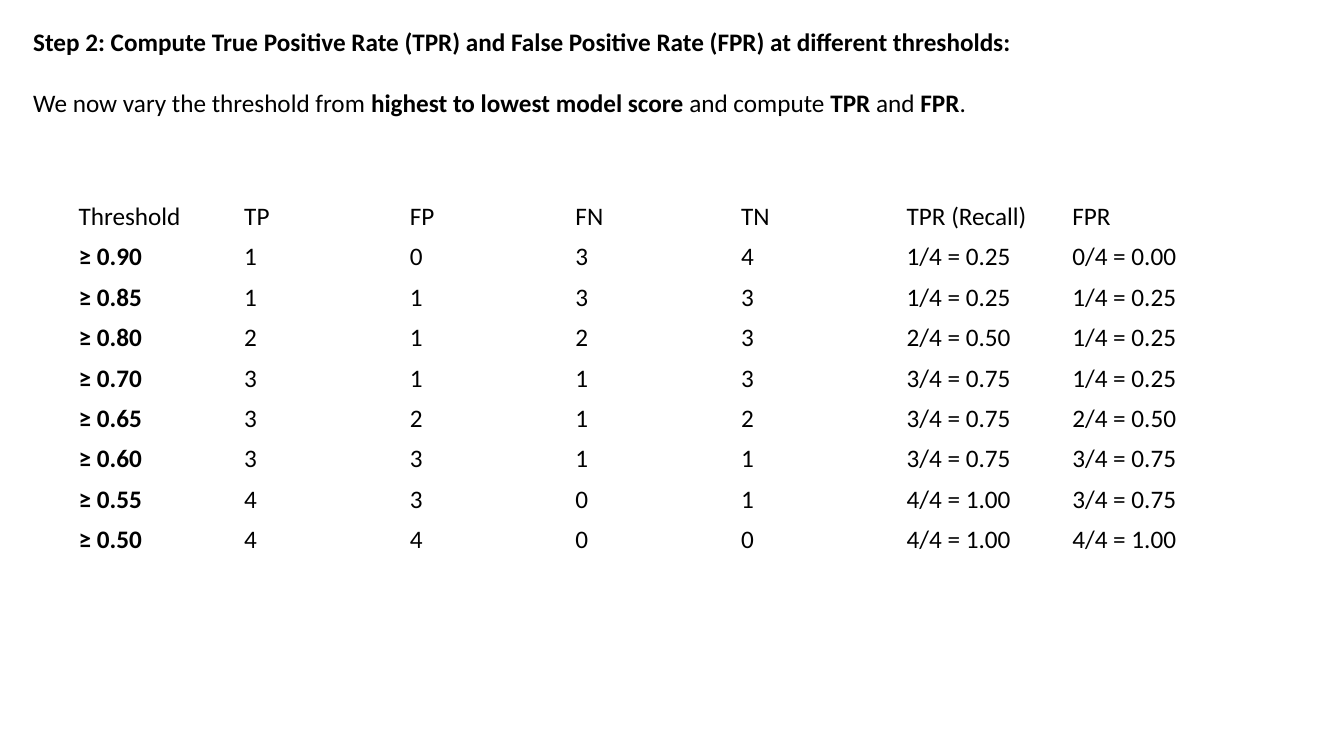
"""Build the slide that tabulates TPR and FPR at each score threshold."""
from pptx import Presentation
from pptx.dml.color import RGBColor
from pptx.enum.text import MSO_ANCHOR, MSO_AUTO_SIZE
from pptx.util import Pt

EMU_PER_PX = 9144
SLIDE_SIZE = (1333, 750)
INTRO_BOX = (23, 21, 1241, 101)
TABLE_BOX = (68, 195, 1150, 360)
FONT = "Calibri"
FONT_SIZE = 18
PARAGRAPH_GAP = 22
COLORS = {"text": "000000"}

INTRO = [
    [("Step 2: Compute True Positive Rate (TPR) and False Positive Rate (FPR) at different thresholds:", True)],
    [
        ("We now vary the threshold from ", False),
        ("highest to lowest model score", True),
        (" and compute ", False),
        ("TPR", True),
        (" and ", False),
        ("FPR", True),
        (".", False),
    ],
]
HEADER = ("Threshold", "TP", "FP", "FN", "TN", "TPR (Recall)", "FPR")
ROWS = [
    ("≥ 0.90", "1", "0", "3", "4", "1/4 = 0.25", "0/4 = 0.00"),
    ("≥ 0.85", "1", "1", "3", "3", "1/4 = 0.25", "1/4 = 0.25"),
    ("≥ 0.80", "2", "1", "2", "3", "2/4 = 0.50", "1/4 = 0.25"),
    ("≥ 0.70", "3", "1", "1", "3", "3/4 = 0.75", "1/4 = 0.25"),
    ("≥ 0.65", "3", "2", "1", "2", "3/4 = 0.75", "2/4 = 0.50"),
    ("≥ 0.60", "3", "3", "1", "1", "3/4 = 0.75", "3/4 = 0.75"),
    ("≥ 0.55", "4", "3", "0", "1", "4/4 = 1.00", "3/4 = 0.75"),
    ("≥ 0.50", "4", "4", "0", "0", "4/4 = 1.00", "4/4 = 1.00"),
]


def px(lengths):
    return [n * EMU_PER_PX for n in lengths]


def style(r, bold):
    r.font.name = FONT
    r.font.size = Pt(FONT_SIZE)
    r.font.bold = bold
    r.font.color.rgb = RGBColor.from_string(COLORS["text"])


def add_intro(s):
    tf = s.shapes.add_textbox(*px(INTRO_BOX)).text_frame
    tf.word_wrap = True
    tf.auto_size = MSO_AUTO_SIZE.SHAPE_TO_FIT_TEXT
    for i, runs in enumerate(INTRO):
        p = tf.add_paragraph() if i else tf.paragraphs[0]
        if i:
            p.space_before = Pt(PARAGRAPH_GAP)
        for text, bold in runs:
            r = p.add_run()
            r.text = text
            style(r, bold)


def add_threshold_table(s):
    grid = [HEADER, *ROWS]
    table = s.shapes.add_table(len(grid), len(HEADER), *px(TABLE_BOX)).table
    table.first_row = False
    table.horz_banding = False
    for i, values in enumerate(grid):
        for j, value in enumerate(values):
            cell = table.cell(i, j)
            cell.fill.background()
            cell.vertical_anchor = MSO_ANCHOR.MIDDLE
            cell.text_frame.text = value
            style(cell.text_frame.paragraphs[0].runs[0], i > 0 and j == 0)


def main():
    prs = Presentation()
    prs.slide_width, prs.slide_height = px(SLIDE_SIZE)
    s = prs.slides.add_slide(prs.slide_layouts[6])
    add_intro(s)
    add_threshold_table(s)
    prs.save("out.pptx")


if __name__ == "__main__":
    main()
